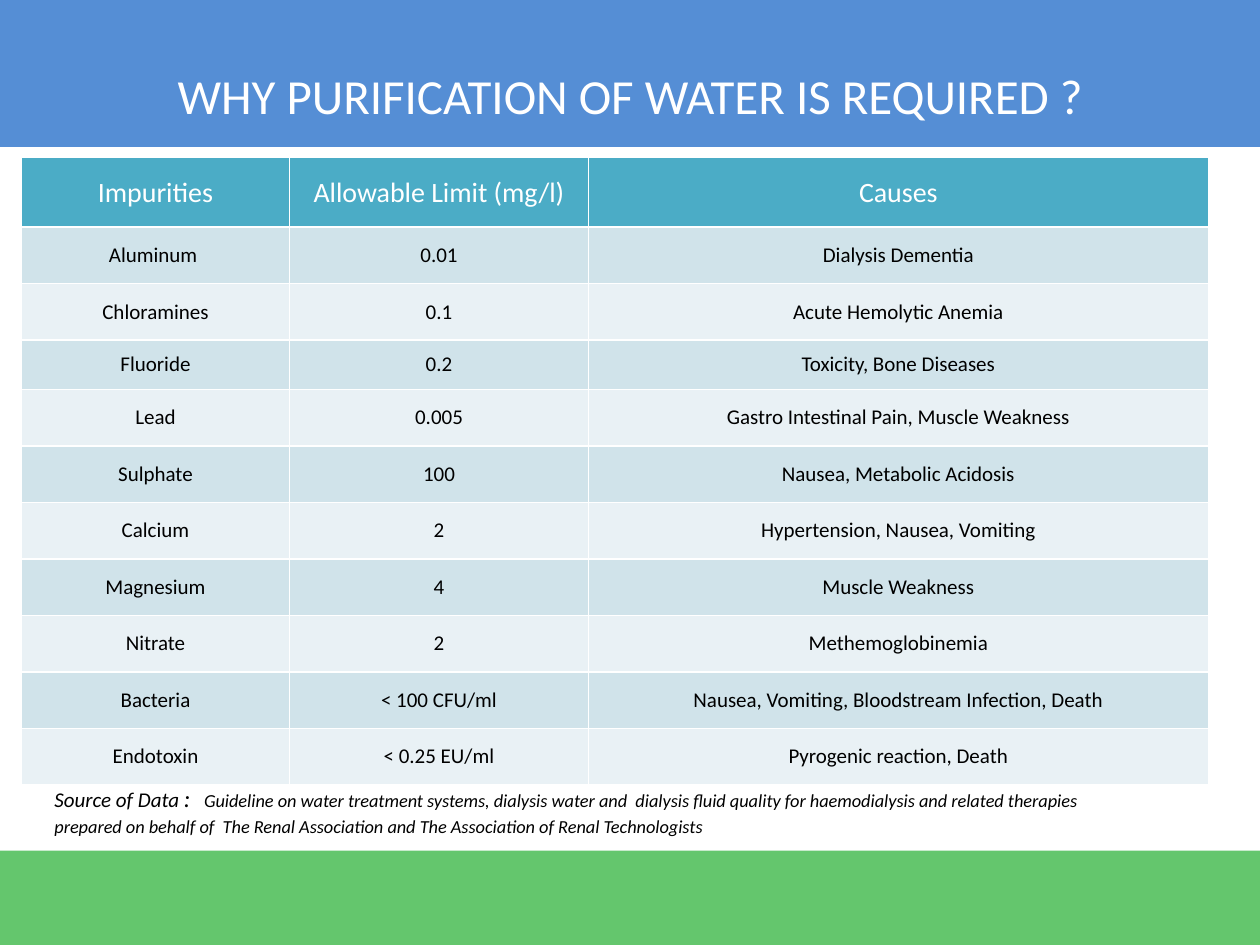
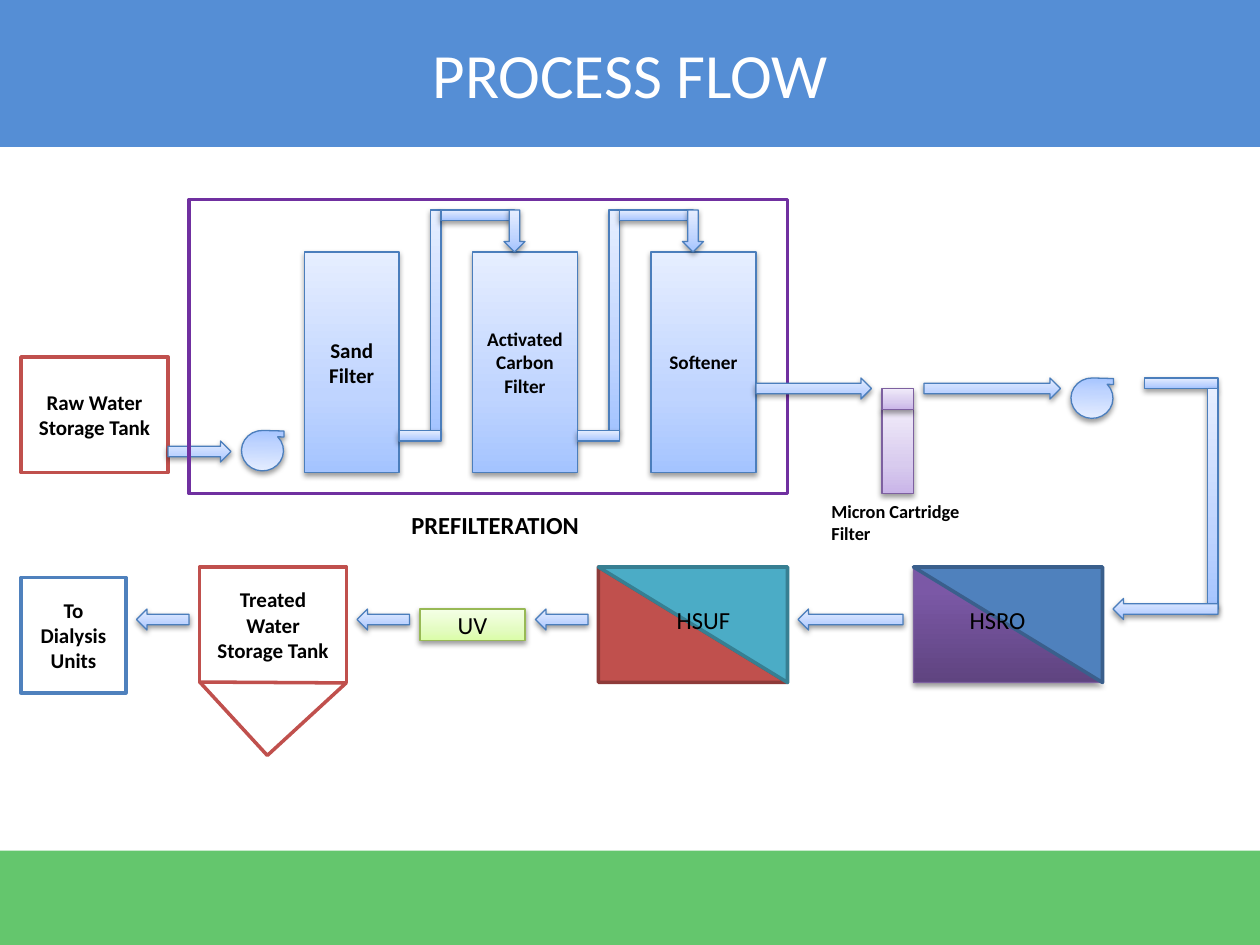
from dataclasses import dataclass

from lxml import etree
from pptx import Presentation
from pptx import util as u
from pptx.dml import color
from pptx.enum import shapes, text
from pptx.oxml import ns

Kind = shapes.MSO_SHAPE
Align = text.PP_ALIGN
Anchor = text.MSO_ANCHOR


@dataclass(frozen=True)
class Look:
    fill: tuple = ()
    line: str = ""
    width: float = 2
    fade: int = 0


@dataclass(frozen=True)
class Theme:
    font: str = "Calibri"
    ink: str = "000000"
    white: str = "FFFFFF"
    top: Look = Look(("558ED5",))
    foot: Look = Look(("64C66D",))
    head: str = "4BACC6"
    rows: tuple = ("D0E3EA", "E9F1F5")
    blue: Look = Look(("A4C4FF", "BFD4FF", "E6EEFF"), "4B7EBC", 0.75, 35)
    lilac: Look = Look(("C9B5E8", "D8CBEE", "F0EAF9"), "7D60A0", 0.75, 35)
    lime: Look = Look(("DAFDA7", "E4FCC2", "F5FFE7"), "98B955", 0.75, 35)
    plum: Look = Look(("5F4480", "7B58A6", "7C57A8"), "7D60A0", 0.75, 80)
    navy: Look = Look(("4F81BD",), "3A5F8C")
    red: Look = Look(("C0504D",), "8E3B39")
    teal: Look = Look(("4BACC6",), "377F92")
    tank: Look = Look(("FFFFFF",), "C0504D")
    unit: Look = Look(("FFFFFF",), "4F81BD")
    frame: Look = Look((), "7030A0")
    wide: float = 28
    title: float = 36
    table: float = 16
    large: float = 14
    body: float = 12
    small: float = 11
    note: float = 10.5


T = Theme()


@dataclass(frozen=True)
class Part:
    kind: Kind
    x: float
    y: float
    w: float
    h: float
    look: Look = T.blue
    words: str = ""
    size: float = T.body
    bold: bool = True
    turn: float = 0
    flip: bool = False


@dataclass(frozen=True)
class Label:
    x: float
    y: float
    w: float
    words: str
    size: float = T.large
    bold: bool = False
    align: Align = Align.LEFT


def grid(*steps: float) -> list:
    return [u.Cm(n * 2.54 / 12) for n in steps]


def rgb(code: str) -> color.RGBColor:
    return color.RGBColor.from_string(code)


def style(frame, size: float, tint: str = T.ink, bold: bool = False,
          align: Align = Align.CENTER) -> None:
    for para in frame.paragraphs:
        para.alignment = align
        for run in para.runs:
            run.font.name = T.font
            run.font.size = u.Pt(size)
            run.font.bold = bold
            run.font.color.rgb = rgb(tint)


def shade(shape, look: Look) -> None:
    shape.fill.gradient()
    shape.fill.gradient_angle = 90
    props = shape.element.spPr
    stops = props.find(ns.qn("a:gradFill")).find(ns.qn("a:gsLst"))
    for old in list(stops):
        stops.remove(old)
    for place, code in zip((0, look.fade, 100), look.fill):
        stop = etree.SubElement(stops, ns.qn("a:gs"), pos=str(place * 1000))
        etree.SubElement(stop, ns.qn("a:srgbClr"), val=code)
    cast = etree.SubElement(props.find(ns.qn("a:effectLst")), ns.qn("a:outerShdw"),
                            blurRad=str(u.Pt(3.1)), dist=str(u.Pt(1.6)),
                            dir="5400000", rotWithShape="0")
    dark = etree.SubElement(cast, ns.qn("a:srgbClr"), val=T.ink)
    etree.SubElement(dark, ns.qn("a:alpha"), val="38000")


def draw(slide, part: Part):
    shape = slide.shapes.add_shape(part.kind, *grid(part.x, part.y, part.w, part.h))
    look = part.look
    shape.shadow.inherit = False
    if look.fade:
        shade(shape, look)
    elif look.fill:
        shape.fill.solid()
        shape.fill.fore_color.rgb = rgb(look.fill[0])
    else:
        shape.fill.background()
    if look.line:
        shape.line.color.rgb = rgb(look.line)
        shape.line.width = u.Pt(look.width)
    else:
        shape.line.fill.background()
    shape.rotation = part.turn
    if part.flip:
        shape.element.spPr.xfrm.set("flipV", "1")
    if part.words:
        shape.text_frame.text = part.words
        shape.text_frame.vertical_anchor = Anchor.MIDDLE
        style(shape.text_frame, part.size, bold=part.bold)
    return shape


def write(slide, label: Label) -> None:
    frame = slide.shapes.add_textbox(*grid(label.x, label.y, label.w, 4)).text_frame
    frame.word_wrap = True
    frame.text = label.words
    style(frame, label.size, bold=label.bold, align=label.align)


def start(deck, words: str, size: float):
    slide = deck.slides.add_slide(deck.slide_layouts[5])
    title = slide.shapes.title
    title.left, title.top, title.width, title.height = grid(0, 0, 120, 14)
    frame = title.text_frame
    frame.text = words
    frame.auto_size = text.MSO_AUTO_SIZE.NONE
    frame.vertical_anchor = Anchor.MIDDLE
    style(frame, size, T.white)
    return slide


def share(deck, slide) -> None:
    tree = deck.slide_layouts[5].shapes.element
    bands = (Part(Kind.RECTANGLE, 0, 81, 120, 9, T.foot),
             Part(Kind.RECTANGLE, 0, 0, 120, 14, T.top))
    for n, band in enumerate(bands):
        item = draw(slide, band).element
        item.nvSpPr.cNvPr.set("id", str(20 + n))
        tree.insert(2 + n, item)


LIMITS = (
    ("Impurities", "Allowable Limit (mg/l)", "Causes"),
    ("Aluminum ", "0.01", "Dialysis Dementia"),
    ("Chloramines", "0.1", "Acute Hemolytic Anemia"),
    ("Fluoride", "0.2", "Toxicity, Bone Diseases"),
    ("Lead", "0.005", "Gastro Intestinal Pain, Muscle Weakness"),
    ("Sulphate", "100", "Nausea, Metabolic Acidosis"),
    ("Calcium", "2", "Hypertension, Nausea, Vomiting"),
    ("Magnesium", "4", "Muscle Weakness"),
    ("Nitrate", "2", "Methemoglobinemia"),
    ("Bacteria", "< 100 CFU/ml", "Nausea, Vomiting, Bloodstream Infection, Death"),
    ("Endotoxin", "< 0.25 EU/ml", "Pyrogenic reaction, Death"),
)
WIDTHS = (5.41, 6.02, 12.5)
HEIGHTS = {0: 1.4, 3: 0.99}
SOURCE = (
    ("Source of Data ", T.body),
    (": ", T.large),
    (" ", 20),
    ("Guideline on water treatment systems, dialysis water and  dialysis fluid quality "
     "for haemodialysis and related therapies  prepared on behalf of  The Renal "
     "Association and The Association of Renal Technologists", T.note),
)


def edge(cell) -> None:
    props = cell._tc.get_or_add_tcPr()
    for n, side in enumerate(("lnL", "lnR", "lnT", "lnB")):
        line = etree.Element(ns.qn("a:" + side), w=str(u.Pt(1)))
        fill = etree.SubElement(line, ns.qn("a:solidFill"))
        etree.SubElement(fill, ns.qn("a:srgbClr"), val=T.white)
        props.insert(n, line)


def limits(slide) -> None:
    table = slide.shapes.add_table(len(LIMITS), len(WIDTHS), u.Cm(0.43), u.Cm(3.18),
                                   u.Cm(sum(WIDTHS)), u.Cm(12.7)).table
    for col, width in zip(table.columns, WIDTHS):
        col.width = u.Cm(width)
    for r, row in enumerate(LIMITS):
        table.rows[r].height = u.Cm(HEIGHTS.get(r, 1.14))
        for c, words in enumerate(row):
            cell = table.cell(r, c)
            cell.text = words
            cell.vertical_anchor = Anchor.MIDDLE
            cell.fill.solid()
            cell.fill.fore_color.rgb = rgb(T.rows[(r - 1) % 2] if r else T.head)
            edge(cell)
            style(cell.text_frame, T.body if r else T.table, T.ink if r else T.white)


def source(slide) -> None:
    frame = slide.shapes.add_textbox(*grid(4, 73, 106, 7.3)).text_frame
    frame.word_wrap = True
    para = frame.paragraphs[0]
    for words, _ in SOURCE:
        para.add_run().text = words
    style(frame, T.body, align=Align.LEFT)
    for run, (_, size) in zip(para.runs, SOURCE):
        run.font.size = u.Pt(size)
        run.font.italic = True


def tower(x: float, w: float, words: str, size: float = T.small) -> Part:
    return Part(Kind.RECTANGLE, x, 24, w, 21, words=words, size=size)


def pump(x: float, y: float) -> Part:
    return Part(Kind.FLOWCHART_SEQUENTIAL_ACCESS_STORAGE, x, y, 4, 3.85,
                turn=1.6, flip=True)


def pipe(x: float, y: float, w: float, h: float) -> Part:
    return Part(Kind.RECTANGLE, x, y, w, h)


def lift(x: float) -> list[Part]:
    return [pipe(x, 20, 1, 21), pipe(x + 1, 20, 7, 1),
            Part(Kind.DOWN_ARROW, x + 7, 20, 2, 4), pipe(x - 3, 41, 4, 1)]


def right(x: float, y: float, w: float) -> Part:
    return Part(Kind.RIGHT_ARROW, x, y, w, 2)


def left(x: float, w: float, y: float = 58) -> Part:
    return Part(Kind.LEFT_ARROW, x, y, w, 2)


def duo(x: float, low: Look, high: Look) -> list[Part]:
    return [Part(Kind.RIGHT_TRIANGLE, x, 54, 18, 11, look, turn=turn)
            for look, turn in ((low, 0), (high, 180))]


FLOW = [
    tower(29, 9, "Sand Filter", T.body),
    pump(23, 41),
    Part(Kind.RECTANGLE, 2, 34, 14, 11, T.tank, "Raw Water Storage Tank"),
    right(16, 42, 6),
    tower(45, 10, "Activated \nCarbon Filter"),
    *lift(41),
    tower(62, 10, "Softener"),
    *lift(58),
    Part(Kind.RECTANGLE, 18, 19, 57, 28, T.frame),
    right(72, 36, 11),
    Part(Kind.RECTANGLE, 84, 39, 3, 8, T.lilac),
    Part(Kind.RECTANGLE, 84, 37, 3, 2, T.lilac),
    right(88, 36, 13),
    pump(102, 36),
    pipe(109, 36, 7, 1),
    pipe(115, 37, 1, 21),
    left(106, 10, 57),
    *duo(87, T.plum, T.navy),
    *duo(57, T.red, T.teal),
    left(76, 10),
    left(51, 5),
    Part(Kind.RECTANGLE, 40, 58, 10, 3, T.lime, "UV", T.large, False),
    Part(Kind.RECTANGLE, 19, 54, 14, 11, T.tank, "Treated Water Storage Tank"),
    Part(Kind.RIGHT_TRIANGLE, 20.9, 60.25, 10.2, 9.5, T.tank, turn=317.4),
    left(13, 5),
    Part(Kind.RECTANGLE, 2, 55, 10, 11, T.unit, "To Dialysis Units"),
    left(34, 5),
]
LABELS = (
    Label(78, 47, 15, "Micron Cartridge Filter", T.note, True),
    Label(60, 57, 14, "HSUF", align=Align.CENTER),
    Label(88, 57, 14, "HSRO", align=Align.CENTER),
    Label(38, 48, 22, "PREFILTERATION", bold=True),
)


def main() -> None:
    deck = Presentation()
    deck.slide_width, deck.slide_height = u.Cm(25.4), u.Cm(19.05)

    first = start(deck, "WHY PURIFICATION OF WATER IS REQUIRED ?", T.wide)
    share(deck, first)
    frame = first.shapes.title.text_frame
    frame.vertical_anchor = Anchor.TOP
    frame.paragraphs[0].line_spacing = 2.0
    limits(first)
    source(first)

    second = start(deck, "PROCESS FLOW", T.title)
    for part in FLOW:
        draw(second, part)
    for label in LABELS:
        write(second, label)
    deck.save("out.pptx")


if __name__ == "__main__":
    main()
